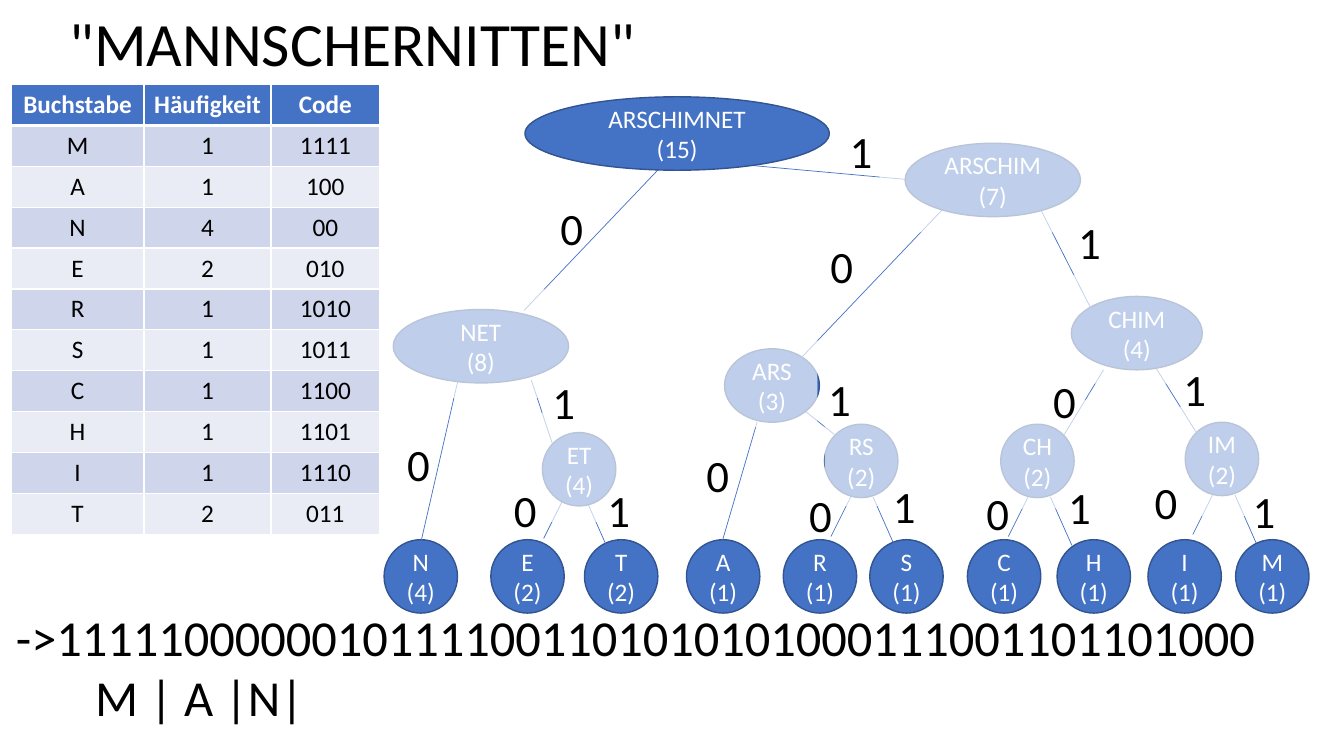
import lxml.etree
import pptx
import pptx.dml.color
import pptx.enum.shapes
import pptx.enum.text
import pptx.oxml.ns
import pptx.util

Cm = pptx.util.Cm
Pt = pptx.util.Pt
qn = pptx.oxml.ns.qn
SHAPE = pptx.enum.shapes.MSO_SHAPE
ALIGN = pptx.enum.text.PP_ALIGN
ANCHOR = pptx.enum.text.MSO_ANCHOR
GROW = pptx.enum.text.MSO_AUTO_SIZE.SHAPE_TO_FIT_TEXT

FONT = "Calibri"
COLORS = {
    "blue": "4472C4",
    "rim": "325491",
    "odd": "CFD5EA",
    "even": "E9EBF5",
    "white": "FFFFFF",
    "black": "000000",
}
SIZE = 1.85
LEAF_TOP = 13.6

CODES = [
    ("Buchstabe", "Häufigkeit", "Code"),
    ("M", "1", "1111"),
    ("A", "1", "100"),
    ("N", "4", "00"),
    ("E", "2", "010"),
    ("R", "1", "1010"),
    ("S", "1", "1011"),
    ("C", "1", "1100"),
    ("H", "1", "1101"),
    ("I", "1", "1110"),
    ("T", "2", "011"),
]

LEAVES = [
    ("N", 4, 9.68), ("E", 2, 12.37), ("T", 2, 14.73), ("A", 1, 17.3),
    ("R", 1, 19.74), ("S", 1, 21.92), ("C", 1, 24.38), ("H", 1, 26.64),
    ("I", 1, 28.93), ("M", 1, 31.14),
]

PAIRS = [
    ("IM", 2, 29.87, 10.64, 30.66, 12.27),
    ("CH", 2, 25.22, 10.69, 26.01, 12.32),
    ("RS", 2, 20.78, 10.69, 21.54, 12.32),
    ("ET", 4, 13.67, 10.9, 14.3, 12.37),
]

BRANCHES = [
    ("ARS", 3, (18.26, 8.79, 2.39),
     [(19.08, 10.64, 18.21, 13.61), (20.29, 10.36, 21.03, 10.95)],
     [(20.78, 10.36, 2.11, 2.39)]),
    ("CHIM", 4, (27, 7.47, 3.3),
     [(27.81, 9.32, 26.82, 10.95), (29.13, 9.27, 30.15, 10.9)],
     [(23.5, 10.08, 4.67, 2.74), (28.65, 10.26, 4.67, 2.74)]),
    ("ARSCHIM", 7, (22.81, 3.61, 4.42),
     [(23.77, 5.26, 20.14, 9.07), (26.24, 5.31, 27.48, 7.75)],
     [(17.4, 8.03, 3.2, 2.74), (26.21, 6.93, 4.67, 2.74)]),
    ("NET", 8, (9.91, 7.8, 4.42),
     [(11.53, 9.63, 10.62, 13.61), (13.39, 9.58, 13.92, 11.18)],
     [(12.29, 10.41, 4.67, 2.74)]),
    ("ARSCHIMNET", 15, (13.23, 2.44, 7.67),
     [(16.84, 4.01, 13.21, 7.82), (18.06, 4.09, 22.81, 4.52)],
     [(9.78, 7.29, 4.67, 2.74), (22.17, 3.12, 5.79, 2.74)]),
]

BITS = {
    "0": [(13.87, 4.93), (10.01, 10.87), (12.7, 12.04), (17.55, 11.15),
          (20.68, 5.89), (26.29, 9.3), (20.14, 12.17), (28.85, 11.84),
          (24.61, 12.12)],
    "1": [(21.16, 3), (26.92, 5.28), (29.57, 8.99), (15.06, 12.04),
          (22.25, 11.94), (26.67, 11.96), (31.32, 12.07), (13.67, 9.32),
          (20.62, 9.25)],
}


def tint(name):
    return pptx.dml.color.RGBColor.from_string(COLORS[name])


def style(frame, size, color, align, bold=False):
    for para in frame.paragraphs:
        para.alignment = align
        for run in para.runs:
            run.font.name = FONT
            run.font.size = Pt(size)
            run.font.bold = bold
            run.font.color.rgb = tint(color)


def place(shape, left, top, width, height):
    shape.left, shape.top = Cm(left), Cm(top)
    shape.width, shape.height = Cm(width), Cm(height)


def title(slide, text):
    shape = slide.shapes.title
    place(shape, 1.5, 0, 14.91, 2.13)
    frame = shape.text_frame
    frame.text = text
    frame.word_wrap = False
    frame.auto_size = GROW
    frame.vertical_anchor = ANCHOR.TOP
    style(frame, 44, "black", ALIGN.LEFT)


def label(slide, text, box, size, wrap=True):
    shape = slide.shapes.add_textbox(*map(Cm, box))
    frame = shape.text_frame
    frame.text = text
    frame.word_wrap = wrap
    frame.auto_size = GROW
    style(frame, size, "black", ALIGN.LEFT)
    return frame


def node(slide, name, count, left, top, width=SIZE):
    shape = slide.shapes.add_shape(
        SHAPE.OVAL, Cm(left), Cm(top), Cm(width), Cm(SIZE))
    shape.shadow.inherit = False
    shape.fill.solid()
    shape.fill.fore_color.rgb = tint("blue")
    shape.line.color.rgb = tint("rim")
    shape.line.width = Pt(1)
    frame = shape.text_frame
    frame.text = f"{name}\n({count})"
    frame.vertical_anchor = ANCHOR.MIDDLE
    style(frame, 18, "white", ALIGN.CENTER)


def edge(slide, *ends):
    line = slide.shapes.add_connector(
        pptx.enum.shapes.MSO_CONNECTOR.STRAIGHT, *map(Cm, ends))
    line.line.color.rgb = tint("blue")
    line.line.width = Pt(0.5)
    lxml.etree.SubElement(line._element.spPr, qn("a:effectLst"))


def veil(slide, box):
    shape = slide.shapes.add_shape(SHAPE.RECTANGLE, *map(Cm, box))
    shape.shadow.inherit = False
    shape.fill.solid()
    shape.fill.fore_color.rgb = tint("white")
    shape.line.fill.background()
    color = shape._element.spPr.find(qn("a:solidFill")).find(qn("a:srgbClr"))
    lxml.etree.SubElement(color, qn("a:alpha")).set("val", "66000")


def border(cell, head):
    props = cell._tc.get_or_add_tcPr()
    for side in "LRTB":
        width = 3 if head and side == "B" else 1
        line = lxml.etree.SubElement(props, qn(f"a:ln{side}"))
        line.set("w", str(Pt(width)))
        fill = lxml.etree.SubElement(line, qn("a:solidFill"))
        color = lxml.etree.SubElement(fill, qn("a:srgbClr"))
        color.set("val", COLORS["white"])


def table(slide, rows):
    grid = slide.shapes.add_table(
        len(rows), 3, Cm(0.28), Cm(2.13), Cm(9.29), Cm(11.33)).table
    for col, width in zip(grid.columns, (3.35, 3.2, 2.74)):
        col.width = Cm(width)
    for i, row in enumerate(rows):
        grid.rows[i].height = Cm(1.03)
        head = i == 0
        fill = "blue" if head else ("even", "odd")[i % 2]
        for j, text in enumerate(row):
            cell = grid.cell(i, j)
            border(cell, head)
            cell.fill.solid()
            cell.fill.fore_color.rgb = tint(fill)
            cell.text_frame.text = text
            style(cell.text_frame, 18, "white" if head else "black",
                  ALIGN.CENTER, head)


def tree(slide):
    for name, count, left in LEAVES:
        node(slide, name, count, left, LEAF_TOP)
    for name, count, left, top, x, y in PAIRS:
        edge(slide, x, y, x - 0.6, y + 1.2)
        edge(slide, x + 0.46, y + 0.2, x + 1, y + 1.42)
        node(slide, name, count, left, top)
    for name, count, spot, edges, veils in BRANCHES:
        for ends in edges:
            edge(slide, *ends)
        node(slide, name, count, *spot)
        for box in veils:
            veil(slide, box)
    for bit, spots in BITS.items():
        for left, top in spots:
            label(slide, bit, (left, top, 1.14, 1.63), 32)


def main():
    deck = pptx.Presentation()
    deck.slide_width, deck.slide_height = Cm(33.87), Cm(19.05)
    slide = deck.slides.add_slide(deck.slide_layouts[5])
    title(slide, '"MANNSCHERNITTEN"')
    table(slide, CODES)
    tree(slide)
    code = "->11111000000101111001101010101000111001101101000\nM | A |N|"
    frame = label(slide, code, (0.15, 15.14, 32.11, 3.33), 36, False)
    frame.paragraphs[1]._p.get_or_add_pPr().set("marL", str(Cm(2)))
    deck.save("out.pptx")


main()
